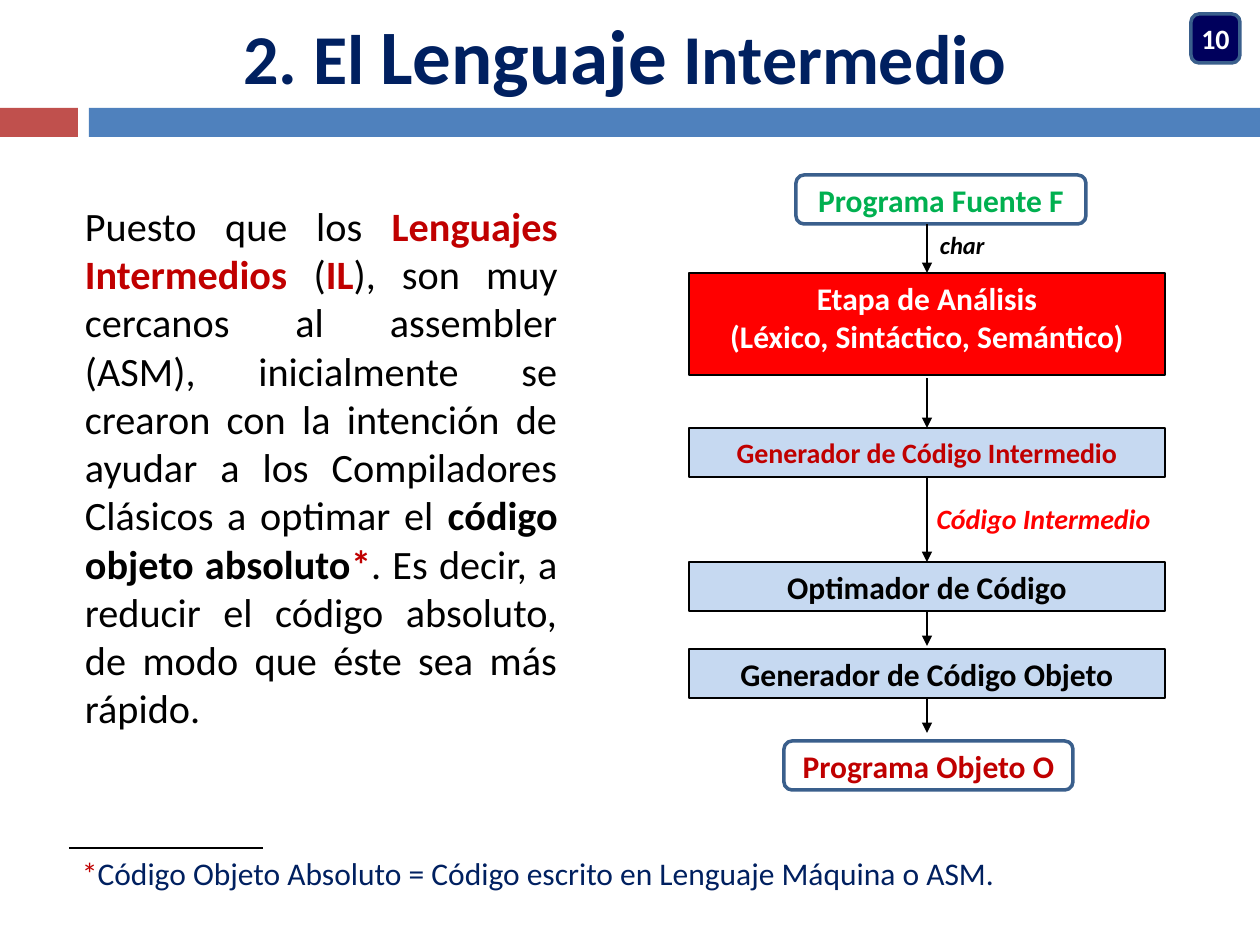
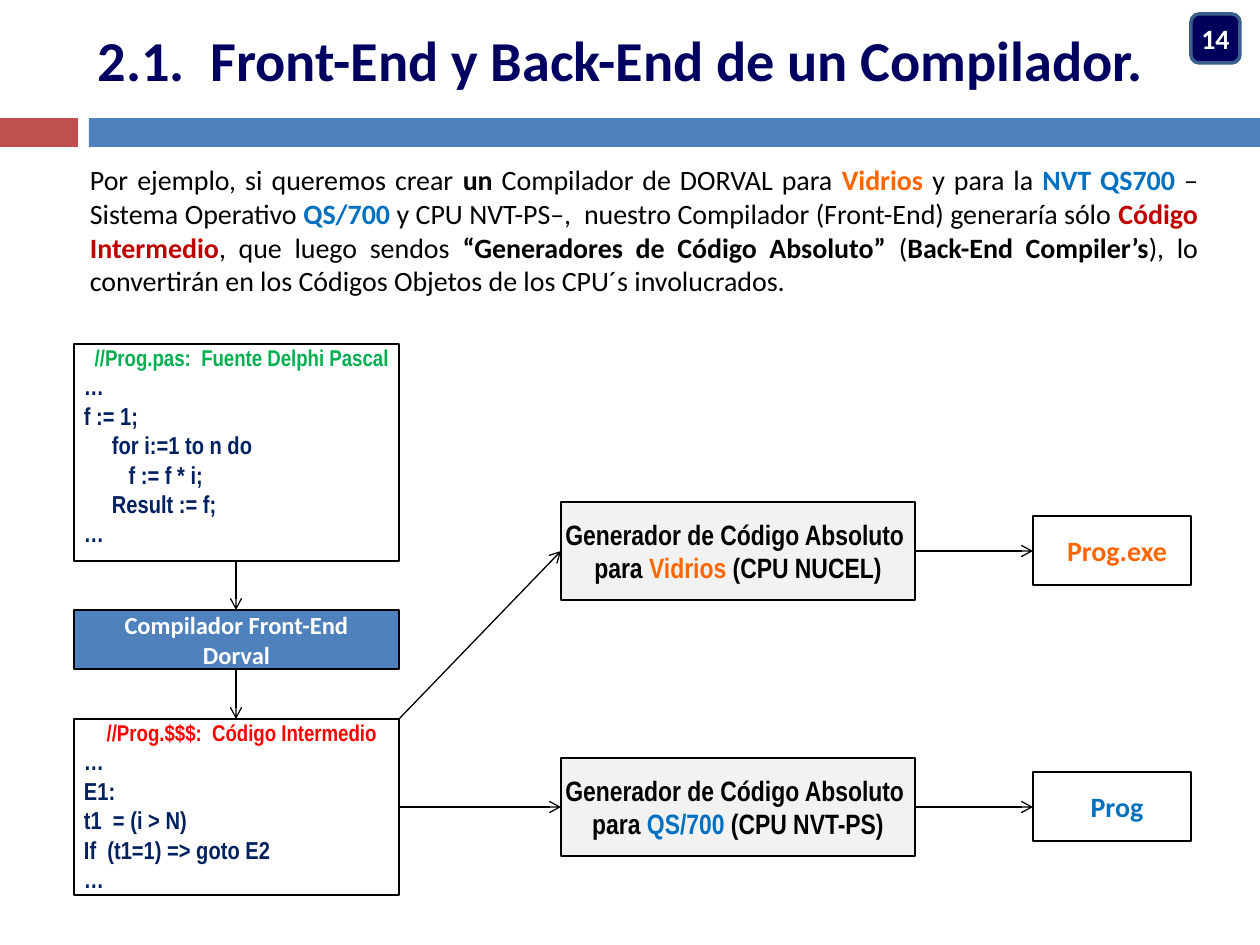
import dataclasses
import pptx
import pptx.dml.color
import pptx.enum.shapes
import pptx.enum.text
import pptx.oxml.ns
import pptx.util
import lxml.etree

PX = 914400 / 126
SLIDE_WIDTH, SLIDE_HEIGHT = 1260, 945
CALIBRI, NARROW = "Calibri", "Arial Narrow"
BLACK, WHITE, NAVY, DEEP_BLUE = "000000", "FFFFFF", "002060", "00005C"
BLUE, PALE_BLUE, OUTLINE = "4F81BD", "C6D9F1", "3A5F8C"
BRICK, DARK_RED, RED = "C0504D", "C00000", "FF0000"
GREEN, ORANGE, SKY, PALE_GRAY = "00B050", "FF6600", "0070C0", "F2F2F2"

RECTANGLE = pptx.enum.shapes.MSO_SHAPE.RECTANGLE
ROUNDED = pptx.enum.shapes.MSO_SHAPE.ROUNDED_RECTANGLE
TOP = pptx.enum.text.MSO_ANCHOR.TOP
MIDDLE = pptx.enum.text.MSO_ANCHOR.MIDDLE
LEFT = pptx.enum.text.PP_ALIGN.LEFT
CENTER = pptx.enum.text.PP_ALIGN.CENTER
JUSTIFY = pptx.enum.text.PP_ALIGN.JUSTIFY


@dataclasses.dataclass
class Run:
    text: str
    size: float = 18
    color: str = BLACK
    bold: bool = True
    italic: bool = False
    font: str = CALIBRI


def px(length):
    return pptx.util.Emu(round(length * PX))


def rgb(color):
    return pptx.dml.color.RGBColor.from_string(color)


def write(shape, paragraphs, align=CENTER, anchor=MIDDLE, insets=(13, 6, 13, 6), wrap=True):
    frame = shape.text_frame
    frame.word_wrap = wrap
    frame.vertical_anchor = anchor
    frame.margin_left, frame.margin_top, frame.margin_right, frame.margin_bottom = map(px, insets)
    for index, runs in enumerate(paragraphs):
        paragraph = frame.add_paragraph() if index else frame.paragraphs[0]
        paragraph.alignment = align[min(index, 1)] if isinstance(align, tuple) else align
        for item in runs:
            run = paragraph.add_run()
            run.text = item.text
            run.font.name = item.font
            run.font.size = pptx.util.Pt(item.size)
            run.font.bold = item.bold
            run.font.italic = item.italic
            run.font.color.rgb = rgb(item.color)


def add_text(slide, box, paragraphs, **options):
    write(slide.shapes.add_textbox(*map(px, box)), paragraphs, **options)


def add_box(slide, box, paragraphs=(), kind=RECTANGLE, fill=None, line=BLACK, weight=0.75, **options):
    shape = slide.shapes.add_shape(kind, *map(px, box))
    shape.shadow.inherit = False
    if fill:
        shape.fill.solid()
        shape.fill.fore_color.rgb = rgb(fill)
    else:
        shape.fill.background()
    if line:
        shape.line.color.rgb = rgb(line)
        shape.line.width = pptx.util.Pt(weight)
    else:
        shape.line.fill.background()
    if paragraphs:
        write(shape, paragraphs, **options)


def add_line(slide, start, end, head=None, weight=0.75):
    connector = slide.shapes.add_connector(
        pptx.enum.shapes.MSO_CONNECTOR.STRAIGHT, *map(px, (*start, *end)))
    connector.line.color.rgb = rgb(BLACK)
    connector.line.width = pptx.util.Pt(weight)
    qn = pptx.oxml.ns.qn
    if head:
        line = connector.line._get_or_add_ln()
        lxml.etree.SubElement(line, qn("a:tailEnd"), type=head)
    lxml.etree.SubElement(connector._element.spPr, qn("a:effectLst"))


def add_frame(presentation, title, title_width, band_top, number):
    slide = presentation.slides.add_slide(presentation.slide_layouts[6])
    for left, width, color in ((0, 78, BRICK), (89, SLIDE_WIDTH - 89, BLUE)):
        add_box(slide, (left, band_top, width, 29), fill=color, line=None)
    add_text(slide, (0, 0, title_width, band_top), [title], insets=(0, 0, 0, 0))
    add_box(slide, (1191, 14, 49, 49), [[Run(number, 16, WHITE)]], kind=ROUNDED,
            fill=DEEP_BLUE, line=OUTLINE, weight=2, insets=(0, 6, 0, 6))
    return slide


def add_footnote(slide, left, top):
    add_line(slide, (left, top), (left + 194, top), weight=1.5)
    add_text(slide, (left, top, 1123, 50), [[
        Run("*", color=DARK_RED, bold=False),
        Run("Código Objeto Absoluto = Código escrito en Lenguaje Máquina o ASM.", color=NAVY, bold=False),
    ]], align=JUSTIFY, anchor=TOP)


def add_compiler_stages(slide, left, top):
    width, height = 476, 49
    center = left + width // 2
    ends = (
        (107, 0, 290, "Programa Fuente F", GREEN),
        (95, 566, 289, "Programa Objeto O", DARK_RED),
    )
    for offset, down, end_width, label, color in ends:
        add_box(slide, (left + offset, top + down, end_width, height), [[Run(label, color=color)]],
                kind=ROUNDED, fill=WHITE, line=OUTLINE, weight=2)
    add_box(slide, (left, top + 98, width, 102), [
        [Run("Etapa de Análisis", color=WHITE)],
        [Run("(Léxico, Sintáctico, Semántico)", color=WHITE)],
    ], fill=RED, anchor=TOP, wrap=False)
    stages = (
        (253, Run("Generador de Código Intermedio", 16, DARK_RED)),
        (387, Run("Optimador de Código")),
        (474, Run("Generador de Código Objeto")),
    )
    for down, label in stages:
        add_box(slide, (left, top + down, width, height), [[label]], fill=PALE_BLUE, wrap=False)
    for start, end in ((49, 98), (203, 253), (302, 387), (436, 471), (523, 558)):
        add_line(slide, (center, top + start), (center, top + end), "triangle")
    add_text(slide, (center, top + 49, 77, 42), [[Run("char", 14, italic=True)]],
             align=LEFT, anchor=TOP, wrap=False)
    add_text(slide, (center - 5, top + 320, 243, 47),
             [[Run("Código Intermedio", 16, RED, italic=True)]], anchor=TOP, wrap=False)


def build_intermediate_language(presentation):
    title = [Run("2. El ", 40, NAVY), Run("Lenguaje", 44, NAVY), Run(" Intermedio", 40, NAVY)]
    slide = add_frame(presentation, title, 1250, 108, "10")
    size = 23
    add_text(slide, (72, 195, 499, 548), [[
        Run("Puesto que los ", size, bold=False),
        Run("Lenguajes Intermedios", size, DARK_RED),
        Run(" (", size, bold=False),
        Run("IL", size, DARK_RED),
        Run("), son muy cercanos al assembler (ASM), inicialmente se crearon con la intención "
            "de ayudar a los Compiladores Clásicos a optimar el ", size, bold=False),
        Run("código objeto absoluto", size),
        Run("*", size, DARK_RED),
        Run(". Es decir, a reducir el código absoluto, de modo que éste sea más rápido.",
            size, bold=False),
    ]], align=JUSTIFY, anchor=TOP)
    add_compiler_stages(slide, 689, 175)
    add_footnote(slide, 69, 848)


def add_listing(slide, box, heading, color, lines):
    paragraphs = [[Run(heading, 13, color, font=NARROW)]]
    paragraphs += [[Run(line, 14, NAVY, font=NARROW)] for line in lines]
    add_box(slide, box, paragraphs, align=(CENTER, LEFT), anchor=TOP, insets=(10, 0, 0, 0))


def add_front_end(slide, left, top):
    width = 325
    center = left + width // 2
    add_listing(slide, (left, top, width, 217), "//Prog.pas:  Fuente Delphi Pascal", GREEN, (
        "…", "f := 1;", "     for i:=1 to n do", "        f := f * i;", "     Result := f;", "…"))
    add_box(slide, (left, top + 266, width, 59), [
        [Run("Compilador Front-End", 14, WHITE)],
        [Run("Dorval", 14, WHITE)],
    ], fill=BLUE, insets=(0, 0, 0, 0))
    add_listing(slide, (left, top + 375, width, 176), "//Prog.$$$:  Código Intermedio", RED, (
        "…", "E1:", "t1  = (i > N)", "If  (t1=1) => goto E2", "…"))
    for start, end in ((217, 266), (325, 375)):
        add_line(slide, (center, top + start), (center, top + end), "arrow")


def add_back_end(slide, left, top, system, processor, color, output, source):
    middle = top + 49
    add_box(slide, (left, top, 354, 98), [
        [Run("Generador de Código Absoluto ", 16, font=NARROW)],
        [Run("para ", 16, font=NARROW), Run(system, 16, color, font=NARROW),
         Run(f" (CPU {processor})", 16, font=NARROW)],
    ], fill=PALE_GRAY, insets=(0, 0, 0, 0))
    add_box(slide, (left + 472, top + 14, 158, 69), [[Run(output, 16, color)]], insets=(10, 0, 0, 0))
    add_line(slide, source, (left, middle), "arrow")
    add_line(slide, (left + 354, middle), (left + 472, middle), "arrow")


def build_front_and_back_end(presentation):
    title = [Run("2.1.  Front-End y Back-End de un Compilador.", 32.2, "000060")]
    slide = add_frame(presentation, title, 1241, 118, "14")
    size = 16
    add_text(slide, (77, 157, 1134, 157), [[
        Run("Por ejemplo, si queremos crear ", size, bold=False),
        Run("un", size),
        Run(" Compilador de DORVAL para ", size, bold=False),
        Run("Vidrios", size, ORANGE),
        Run(" y para la ", size, bold=False),
        Run("NVT QS700", size, SKY),
        Run(" –Sistema Operativo ", size, bold=False),
        Run("QS/700", size, SKY),
        Run(" y CPU NVT-PS–,  nuestro Compilador (Front-End) generaría sólo ", size, bold=False),
        Run("Código Intermedio", size, DARK_RED),
        Run(", que luego sendos ", size, bold=False),
        Run("“Generadores de Código Absoluto”", size),
        Run(" (", size, bold=False),
        Run("Back-End Compiler’s", size),
        Run("), lo convertirán en los Códigos Objetos de los CPU´s involucrados.", size, bold=False),
    ]], align=JUSTIFY, anchor=TOP)
    add_front_end(slide, 74, 344)
    add_back_end(slide, 561, 502, "Vidrios", "NUCEL", ORANGE, "Prog.exe", (399, 719))
    add_back_end(slide, 561, 758, "QS/700", "NVT-PS", SKY, "Prog", (399, 807))


def main():
    presentation = pptx.Presentation()
    presentation.slide_width = px(SLIDE_WIDTH)
    presentation.slide_height = px(SLIDE_HEIGHT)
    build_intermediate_language(presentation)
    build_front_and_back_end(presentation)
    presentation.save("out.pptx")


if __name__ == "__main__":
    main()
